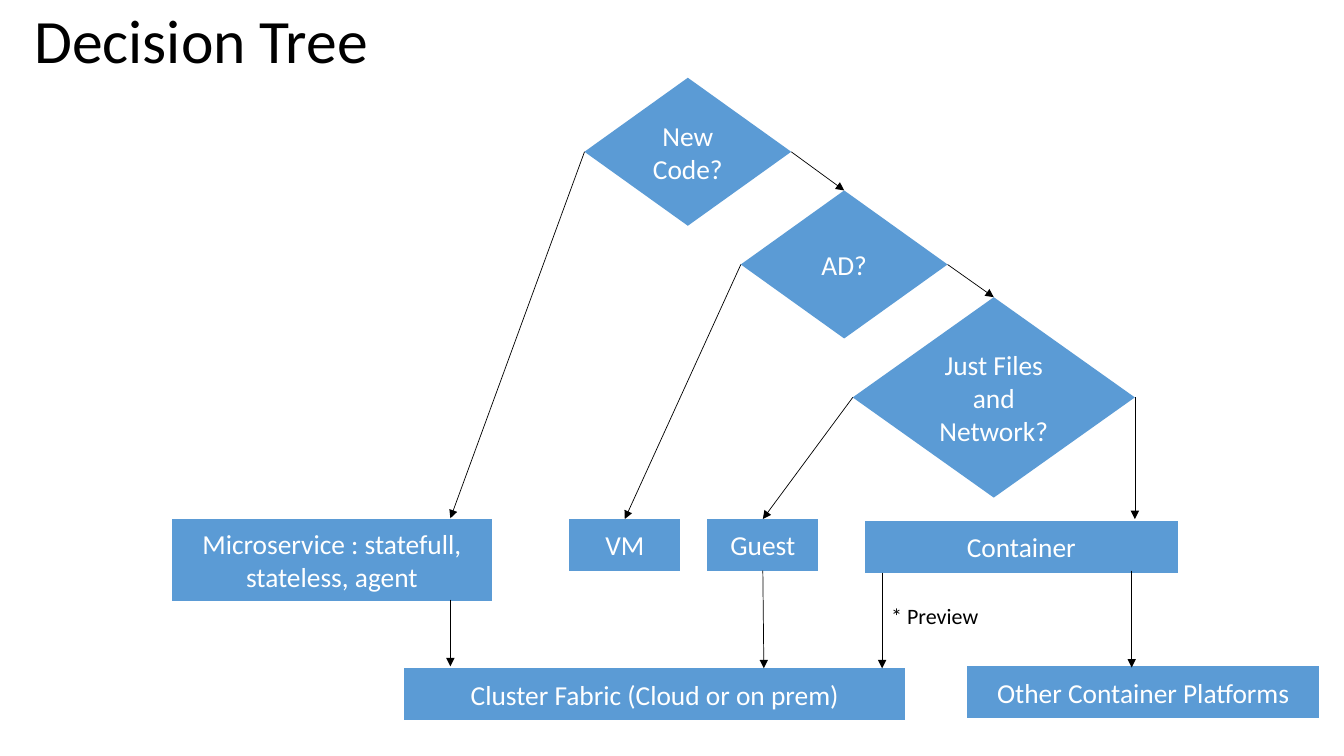
from lxml import etree
from pptx import Presentation
from pptx.dml.color import RGBColor
from pptx.enum.shapes import MSO_CONNECTOR, MSO_SHAPE
from pptx.enum.text import MSO_ANCHOR, MSO_AUTO_SIZE, PP_ALIGN
from pptx.oxml.ns import qn
from pptx.util import Cm, Pt

DIAMOND = MSO_SHAPE.FLOWCHART_DECISION
BLOCK = MSO_SHAPE.FLOWCHART_PROCESS
STRAIGHT = MSO_CONNECTOR.STRAIGHT
LEFT, CENTER = PP_ALIGN.LEFT, PP_ALIGN.CENTER
MIDDLE = MSO_ANCHOR.MIDDLE
FIXED = MSO_AUTO_SIZE.NONE
GROW = MSO_AUTO_SIZE.SHAPE_TO_FIT_TEXT
TOP, WEST, BASE, EAST = range(4)

COLORS = {"node": "5B9BD5", "light": "FFFFFF", "dark": "000000"}
FONT = "Calibri"
ROW = 1.3


def color(name):
    return RGBColor.from_string(COLORS[name])


def style(para, size, tint, align):
    para.alignment = align
    para.font.size = Pt(size)
    para.font.name = FONT
    para.font.color.rgb = color(tint)


def node(slide, kind, text, x, y, w, h):
    shape = slide.shapes.add_shape(kind, Cm(x), Cm(y), Cm(w), Cm(h))
    shape.shadow.inherit = False
    shape.fill.solid()
    shape.fill.fore_color.rgb = color("node")
    shape.line.fill.background()
    frame = shape.text_frame
    frame.word_wrap = True
    frame.vertical_anchor = MIDDLE
    frame.text = text
    style(frame.paragraphs[0], 19.6, "light", CENTER)
    return shape


def arrow(slide, x1, y1, x2, y2):
    line = slide.shapes.add_connector(STRAIGHT, Cm(x1), Cm(y1), Cm(x2), Cm(y2))
    line.line.color.rgb = color("dark")
    line.line.width = Pt(0.5)
    etree.SubElement(line.line._get_or_add_ln(), qn("a:tailEnd"), type="triangle")
    etree.SubElement(line._element.spPr, qn("a:effectLst"))
    return line


def join(slide, source, site, target):
    line = arrow(slide, 0, 0, 1, 1)
    line.begin_connect(source, site)
    line.end_connect(target, TOP)


def heading(slide, x, y, w, h):
    title = slide.shapes.title
    title.left, title.top, title.width, title.height = Cm(x), Cm(y), Cm(w), Cm(h)
    frame = title.text_frame
    frame.text = "Decision Tree"
    frame.auto_size = FIXED
    frame.vertical_anchor = MIDDLE
    style(frame.paragraphs[0], 44, "dark", LEFT)
    frame.paragraphs[0].line_spacing = 0.9


def choices(slide, x, y, w, h):
    small = (5.21, 3.73)
    code = node(slide, DIAMOND, "New Code?", x, y, *small)
    domain = node(slide, DIAMOND, "AD?", x + 3.94, y + 2.84, *small)
    wide, tall = 7.11, 5.05
    files = node(slide, DIAMOND, "Just Files and Network?",
                 x + w - wide, y + h - tall, wide, tall)
    join(slide, code, EAST, domain)
    join(slide, domain, EAST, files)
    return code, domain, files


def results(slide, x, y, w):
    node(slide, BLOCK, "Microservice : statefull, stateless, agent", x, y, 8.05, 2.06)
    vm, guest = [node(slide, BLOCK, text, x + dx, y, 2.79, ROW)
                 for text, dx in (("VM", 10.01), ("Guest", 13.49))]
    wide = 7.9
    node(slide, BLOCK, "Container", x + w - wide, y + 0.05, wide, ROW)
    return vm, guest


def hosts(slide, x, y, w):
    node(slide, BLOCK, "Cluster Fabric (Cloud or on prem)", x, y + 0.05, 12.62, ROW)
    wide = 8.86
    node(slide, BLOCK, "Other Container Platforms", x + w - wide, y, wide, ROW)


def remark(slide, x, y, w, h):
    box = slide.shapes.add_textbox(Cm(x), Cm(y), Cm(w), Cm(h))
    frame = box.text_frame
    frame.word_wrap = False
    frame.auto_size = GROW
    frame.margin_left = frame.margin_right = Cm(0.51)
    frame.margin_top = frame.margin_bottom = Cm(0.41)
    frame.text = "* Preview"
    para = frame.paragraphs[0]
    style(para, 15.7, "dark", LEFT)
    para.line_spacing = 0.9
    para.space_after = Pt(5.9)


def main():
    deck = Presentation()
    deck.slide_width, deck.slide_height = Cm(33.87), Cm(19.05)
    slide = deck.slides.add_slide(deck.slide_layouts[5])
    heading(slide, 0.61, -0.15, 24.28, 2.49)
    code, domain, files = choices(slide, 14.73, 1.96, 13.87, 10.58)
    vm, guest = results(slide, 4.34, 13.08, 25.35)
    hosts(slide, 10.19, 16.79, 23.05)
    remark(slide, 21.95, 14.96, 3.28, 1.4)

    join(slide, domain, WEST, vm)
    join(slide, files, WEST, guest)
    arrow(slide, 11.35, 13.06, 11.35, 13.06).begin_connect(code, WEST)
    arrow(slide, 28.6, 13.08, 28.6, 13.08).begin_connect(files, EAST)
    arrow(slide, 19.25, 16.84, 19.25, 16.84).begin_connect(guest, BASE)
    for x, start, end in ((11.35, 15.11, 16.79), (22.23, 14.43, 16.84),
                          (28.52, 14.38, 16.82)):
        arrow(slide, x, start, x, end)
    deck.save("out.pptx")


if __name__ == "__main__":
    main()
